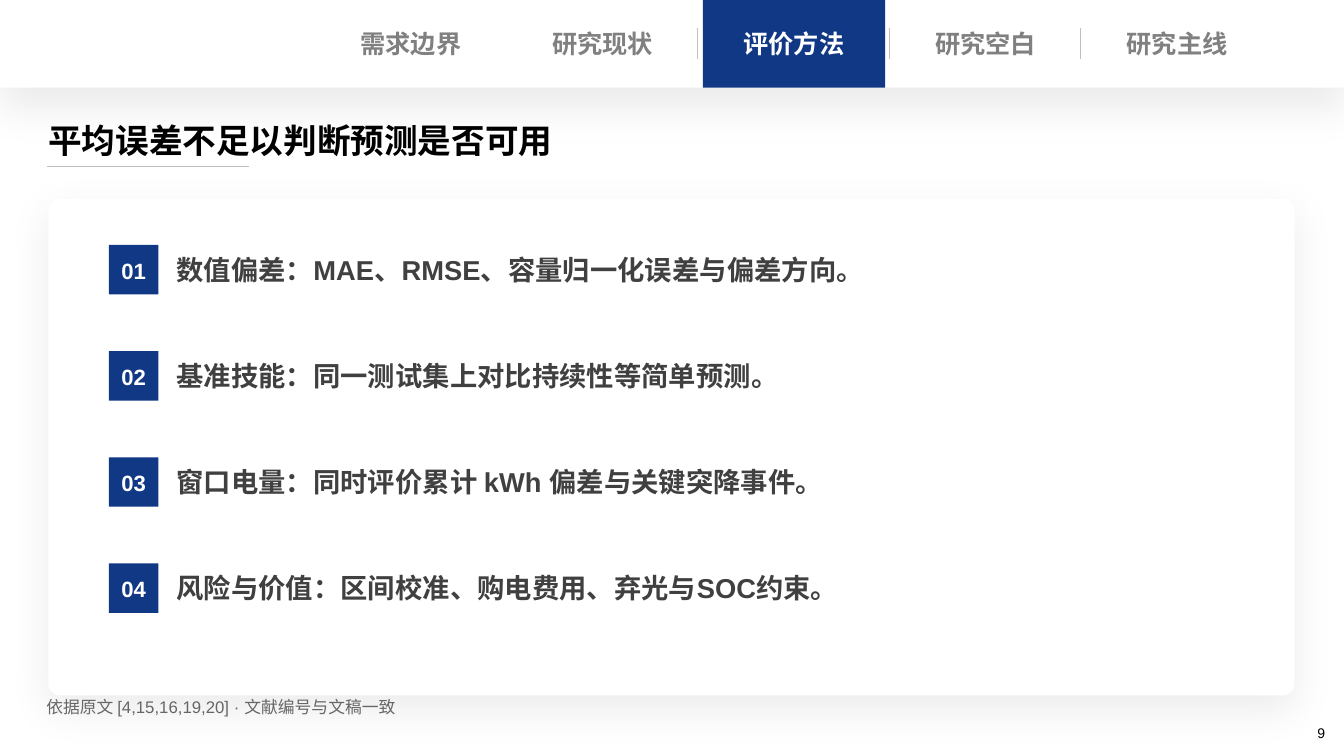
from dataclasses import dataclass

from pptx import Presentation
from pptx.dml.color import RGBColor
from pptx.enum.shapes import MSO_CONNECTOR, MSO_SHAPE
from pptx.enum.text import MSO_ANCHOR, PP_ALIGN
from pptx.oxml import parse_xml
from pptx.oxml.ns import nsdecls
from pptx.shapes.autoshape import Shape
from pptx.slide import Slide
from pptx.util import Inches, Pt

WHITE = RGBColor(0xFF, 0xFF, 0xFF)
BLACK = RGBColor(0, 0, 0)
NAVY = RGBColor(0x11, 0x38, 0x84)
TAB_GRAY = RGBColor(0x80, 0x80, 0x80)
RULE_GRAY = RGBColor(0xBF, 0xBF, 0xBF)
BODY_GRAY = RGBColor(0x40, 0x40, 0x40)
NOTE_GRAY = RGBColor(0x66, 0x66, 0x66)

HEADER_H = 0.87
TAB_X, TAB_PITCH, TAB_W = 3.44, 1.9, 1.27
ACTIVE_X, ACTIVE_W = 6.97, 1.81
ITEM_Y, ITEM_PITCH, BADGE = 2.43, 3.16 / 3, 0.49


@dataclass(frozen=True)
class Box:
    x: float
    y: float
    w: float
    h: float


@dataclass(frozen=True)
class Style:
    size: float
    color: RGBColor
    bold: bool = True
    align: PP_ALIGN = PP_ALIGN.LEFT
    left: float = 0
    top: float = 0
    right: float = 0


@dataclass(frozen=True)
class Tab:
    label: str
    active: bool = False


TABS = [Tab("需求边界"), Tab("研究现状"), Tab("评价方法", True),
        Tab("研究空白"), Tab("研究主线")]
ITEMS = [
    "数值偏差：MAE、RMSE、容量归一化误差与偏差方向。",
    "基准技能：同一测试集上对比持续性等简单预测。",
    "窗口电量：同时评价累计 kWh 偏差与关键突降事件。",
    "风险与价值：区间校准、购电费用、弃光与SOC约束。",
]
TITLE = Style(24, BLACK, left=0.1, top=0.05)
TAB = Style(18, TAB_GRAY, align=PP_ALIGN.CENTER, top=0.05)
ACTIVE_TAB = Style(18, WHITE, align=PP_ALIGN.CENTER, top=0.05)
NUMBER = Style(15.8, WHITE, align=PP_ALIGN.CENTER, top=0.12)
ITEM = Style(19.5, BODY_GRAY, top=-0.01)
NOTE = Style(12, NOTE_GRAY, bold=False)
PAGE = Style(10, BLACK, bold=False, align=PP_ALIGN.RIGHT, top=0.12, right=0.1)


def write(sp: Shape, text: str, style: Style) -> None:
    tf = sp.text_frame
    tf.word_wrap = True
    tf.vertical_anchor = MSO_ANCHOR.TOP
    tf.margin_left, tf.margin_top = Inches(style.left), Inches(style.top)
    tf.margin_right, tf.margin_bottom = Inches(style.right), 0
    p = tf.paragraphs[0]
    p.text = text
    p.alignment = style.align
    p.font.name = "Arial"
    p.font.size = Pt(style.size)
    p.font.bold = style.bold
    p.font.color.rgb = style.color


def add_text(s: Slide, box: Box, text: str, style: Style) -> None:
    sp = s.shapes.add_textbox(Inches(box.x), Inches(box.y), Inches(box.w), Inches(box.h))
    write(sp, text, style)


def add_panel(s: Slide, box: Box, color: RGBColor,
              kind: MSO_SHAPE = MSO_SHAPE.RECTANGLE) -> Shape:
    sp = s.shapes.add_shape(kind, Inches(box.x), Inches(box.y), Inches(box.w), Inches(box.h))
    sp.shadow.inherit = False
    sp.fill.solid()
    sp.fill.fore_color.rgb = color
    sp.line.fill.background()
    return sp


def add_soft_shadow(sp: Shape, blur: float, distance: float) -> None:
    """Cast a faint black shadow straight down; lengths are in points."""
    sp_pr = sp.fill._xPr
    effects = sp_pr.find("{http://schemas.openxmlformats.org/drawingml/2006/main}effectLst")
    effects.append(parse_xml(
        f'<a:outerShdw {nsdecls("a")} blurRad="{Pt(blur)}" dist="{Pt(distance)}" '
        'dir="5400000" algn="t" rotWithShape="0">'
        '<a:srgbClr val="000000"><a:alpha val="8000"/></a:srgbClr></a:outerShdw>'))


def add_rule(s: Slide, x1: float, y1: float, x2: float, y2: float) -> None:
    line = s.shapes.add_connector(MSO_CONNECTOR.STRAIGHT, Inches(x1), Inches(y1),
                                  Inches(x2), Inches(y2))
    line.line.color.rgb = RULE_GRAY
    line.line.width = Pt(0.75)
    line._element.spPr.append(parse_xml(f'<a:effectLst {nsdecls("a")}/>'))


def add_tabs(s: Slide) -> None:
    add_panel(s, Box(ACTIVE_X, 0, ACTIVE_W, HEADER_H), NAVY)
    for i in range(3):
        x = 6.92 + i * TAB_PITCH
        add_rule(s, x, 0.28, x, 0.59)
    for i, tab in enumerate(TABS):
        add_text(s, Box(TAB_X + i * TAB_PITCH, 0.23, TAB_W, 0.4), tab.label,
                 ACTIVE_TAB if tab.active else TAB)


def add_items(s: Slide) -> None:
    for i, text in enumerate(ITEMS):
        y = ITEM_Y + i * ITEM_PITCH
        write(add_panel(s, Box(1.08, y, BADGE, BADGE), NAVY), f"{i + 1:02d}", NUMBER)
        add_text(s, Box(1.75, y + 0.09, 10.63, 0.3), text, ITEM)


def main() -> None:
    prs = Presentation()
    prs.slide_width, prs.slide_height = Inches(13.33), Inches(7.5)
    s = prs.slides.add_slide(prs.slide_layouts[6])
    s.background.fill.solid()
    s.background.fill.fore_color.rgb = WHITE

    header = add_panel(s, Box(0, 0, 13.33, HEADER_H), WHITE)
    add_soft_shadow(header, 28, 15)
    add_text(s, Box(10.24, 7.07, 3, 0.4), "9", PAGE)
    add_text(s, Box(0.38, 1.14, 12.19, 0.56), "平均误差不足以判断预测是否可用", TITLE)
    add_rule(s, 0.47, 1.65, 2.47, 1.65)

    card = add_panel(s, Box(0.48, 1.97, 12.36, 4.93), WHITE, MSO_SHAPE.ROUNDED_RECTANGLE)
    card.adjustments[0] = 0.024
    add_soft_shadow(card, 30, 10)
    add_tabs(s)
    add_items(s)
    add_text(s, Box(0.46, 6.91, 4.1, 0.26),
             "依据原文 [4,15,16,19,20] · 文献编号与文稿一致", NOTE)
    prs.save("out.pptx")


if __name__ == "__main__":
    main()
